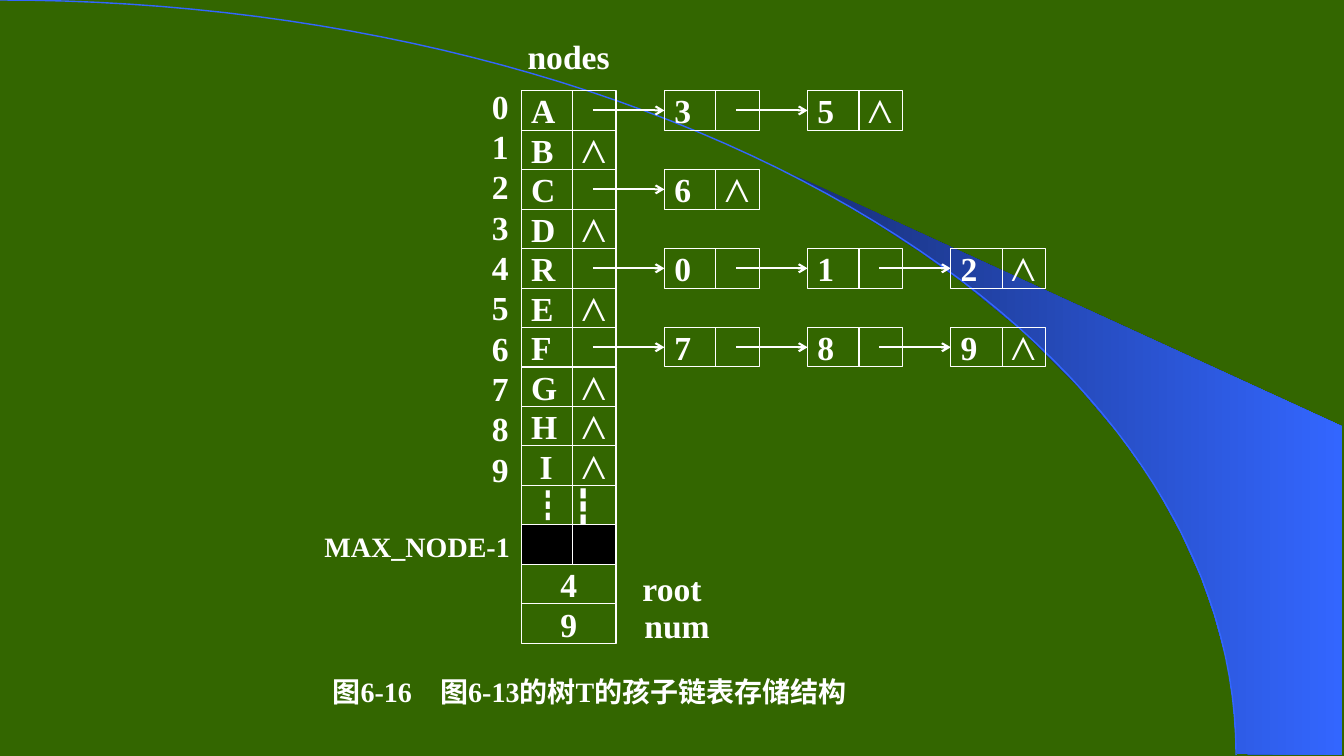
from dataclasses import dataclass
from math import cos, pi, sin

from lxml.etree import SubElement
from pptx import Presentation
from pptx.dml.color import RGBColor
from pptx.enum.shapes import MSO_CONNECTOR, MSO_SHAPE
from pptx.enum.text import MSO_ANCHOR, PP_ALIGN
from pptx.oxml.ns import qn
from pptx.util import Inches, Pt


@dataclass(frozen=True)
class Theme:
    background: RGBColor = RGBColor(0x33, 0x66, 0x00)
    ink: RGBColor = RGBColor(0xFF, 0xFF, 0xFF)
    unused: RGBColor = RGBColor(0x00, 0x00, 0x00)
    swoosh_dark: RGBColor = RGBColor(0x18, 0x2F, 0x76)
    swoosh: RGBColor = RGBColor(0x33, 0x66, 0xFF)
    font: str = "Times New Roman"
    cjk_font: str = "Noto Sans CJK SC"
    body: Pt = Pt(24)
    small: Pt = Pt(20)
    index_spacing: Pt = Pt(28.8)
    thin: Pt = Pt(0.75)
    curve: Pt = Pt(1)
    arrow: Pt = Pt(1.5)


THEME = Theme()

NULL = "⋀"
ARRAY_LEFT, ARRAY_TOP = 5.17, 0.9
ROW_HEIGHT = (5.99 - ARRAY_TOP) / 13
CELL_WIDTH, DIVIDER = 0.94, 0.51
CHAIN_STEP, LINK_START = 1.42, 0.71
INSET, NULL_TAB = 0.1, 0.5

NODE_NAMES = ["A", "B", "C", "D", "R", "E", "F", "G", "H", " I"]
CHILDREN = {0: "35", 2: "6", 4: "012", 6: "789"}
ELLIPSIS_ROW, UNUSED_ROW, ROOT_ROW, NUM_ROW = 10, 11, 12, 13

CURVE_WIDTH, CURVE_HEIGHT, CURVE_STEPS = 12.26, 7.49, 60
SWOOSH = [
    (12.27, 7.48), (13.31, 7.49), (13.31, 4.23), (7.86, 1.73), (8.32, 1.99),
    (8.7, 2.22), (9.13, 2.5), (9.55, 2.8), (10.16, 3.3), (10.7, 3.84),
    (11.1, 4.31), (11.44, 4.79), (11.71, 5.28), (11.91, 5.72), (12.04, 6.09),
    (12.17, 6.56), (12.23, 6.96),
]


def row_top(row):
    return ARRAY_TOP + row * ROW_HEIGHT


def add_outline(slide, points, close):
    corners = [(Inches(x), Inches(y)) for x, y in points]
    builder = slide.shapes.build_freeform(*corners[0])
    builder.add_line_segments(corners[1:], close=close)
    outline = builder.convert_to_shape()
    outline.shadow.inherit = False
    return outline


def add_backdrop(slide):
    slide.background.fill.solid()
    slide.background.fill.fore_color.rgb = THEME.background

    swoosh = add_outline(slide, SWOOSH, close=True)
    swoosh.line.fill.background()
    swoosh.fill.gradient()
    swoosh.fill.gradient_angle = 0
    for stop, color in zip(swoosh.fill.gradient_stops, (THEME.swoosh_dark, THEME.swoosh)):
        stop.color.rgb = color

    angles = [pi / 2 * step / CURVE_STEPS for step in range(CURVE_STEPS + 1)]
    arc = [(CURVE_WIDTH * sin(a), CURVE_HEIGHT * (1 - cos(a))) for a in angles]
    curve = add_outline(slide, arc, close=False)
    curve.fill.background()
    curve.line.color.rgb = THEME.swoosh
    curve.line.width = THEME.curve


def set_frame(frame, align):
    frame.word_wrap = True
    frame.vertical_anchor = MSO_ANCHOR.MIDDLE
    frame.margin_left = Inches(INSET if align == PP_ALIGN.LEFT else 0)
    frame.margin_right = frame.margin_top = frame.margin_bottom = 0


def format_paragraph(paragraph, align, size):
    paragraph.alignment = align
    font = paragraph.font
    font.name, font.size, font.bold = THEME.font, size, True
    font.color.rgb = THEME.ink


def add_label(slide, text, left, top, width, height=0.39,
              align=PP_ALIGN.LEFT, size=THEME.body, spacing=None):
    box = slide.shapes.add_textbox(Inches(left), Inches(top), Inches(width), Inches(height))
    set_frame(box.text_frame, align)
    box.text_frame.text = text
    for paragraph in box.text_frame.paragraphs:
        format_paragraph(paragraph, align, size)
        if spacing:
            paragraph.line_spacing = spacing


def add_line(slide, start, end, width):
    line = slide.shapes.add_connector(
        MSO_CONNECTOR.STRAIGHT, *(Inches(value) for value in (*start, *end)))
    line.line.color.rgb = THEME.ink
    line.line.width = width
    SubElement(line._element.spPr, qn("a:effectLst"))
    return line


def add_link(slide, left, row):
    """Draw the arrow from the pointer half of a cell to the next cell."""
    middle = row_top(row) + ROW_HEIGHT / 2
    link = add_line(slide, (left + LINK_START, middle), (left + CHAIN_STEP, middle), THEME.arrow)
    SubElement(link.line._get_or_add_ln(), qn("a:tailEnd"), type="arrow")


def add_cell(slide, left, row, text="", align=PP_ALIGN.LEFT, is_null=False, divided=True):
    """Draw one record and return its paragraph."""
    top = row_top(row)
    cell = slide.shapes.add_shape(
        MSO_SHAPE.RECTANGLE, Inches(left), Inches(top), Inches(CELL_WIDTH), Inches(ROW_HEIGHT))
    cell.shadow.inherit = False
    cell.fill.background()
    cell.line.color.rgb = THEME.ink
    cell.line.width = THEME.thin
    set_frame(cell.text_frame, align)
    paragraph = cell.text_frame.paragraphs[0]
    if is_null:
        tabs = SubElement(paragraph._p.get_or_add_pPr(), qn("a:tabLst"))
        SubElement(tabs, qn("a:tab"), pos=str(Inches(NULL_TAB)), algn="l")
    format_paragraph(paragraph, align, THEME.body)
    if text:
        paragraph.add_run().text = text
    if is_null:
        null = paragraph.add_run()
        null.text = "\t" + NULL
        null.font.bold = False
    if divided:
        x = left + DIVIDER
        add_line(slide, (x, top), (x, top + ROW_HEIGHT), THEME.thin)
    else:
        return cell, paragraph
    return cell, paragraph


def add_chain(slide, row, children):
    for position, child in enumerate(children):
        left = ARRAY_LEFT + position * CHAIN_STEP
        add_link(slide, left, row)
        is_last = position == len(children) - 1
        add_cell(slide, left + CHAIN_STEP, row, child, is_null=is_last)


def add_node_array(slide):
    for row, name in enumerate(NODE_NAMES):
        add_cell(slide, ARRAY_LEFT, row, name, is_null=row not in CHILDREN)

    _, ellipsis = add_cell(slide, ARRAY_LEFT, ELLIPSIS_ROW)
    for dots, font in (("┇", THEME.cjk_font), (" ┇", THEME.font)):
        run = ellipsis.add_run()
        run.text = dots
        run.font.name = font
        SubElement(run._r.get_or_add_rPr(), qn("a:ea"), typeface=font)

    unused, _ = add_cell(slide, ARRAY_LEFT, UNUSED_ROW)
    unused.fill.solid()
    unused.fill.fore_color.rgb = THEME.unused

    for row, value in ((ROOT_ROW, "4"), (NUM_ROW, "9")):
        add_cell(slide, ARRAY_LEFT, row, value, PP_ALIGN.CENTER, divided=False)


def main():
    presentation = Presentation()
    presentation.slide_width, presentation.slide_height = Inches(13.33), Inches(7.5)
    slide = presentation.slides.add_slide(presentation.slide_layouts[6])

    add_backdrop(slide)
    add_label(slide, "nodes", ARRAY_LEFT, 0.36, CELL_WIDTH, align=PP_ALIGN.CENTER)
    indexes = "\n".join(str(index) for index in range(len(NODE_NAMES)))
    add_label(slide, indexes, 4.78, 0.85, 0.39, 4, spacing=THEME.index_spacing)
    add_label(slide, "MAX_NODE-1", 3.12, 5.22, 1.97, size=THEME.small)
    add_node_array(slide)
    for row, children in CHILDREN.items():
        add_chain(slide, row, children)
    add_label(slide, "root", 6.27, 5.64, 0.79, align=PP_ALIGN.CENTER)
    add_label(slide, "num", 6.32, 6.01, 0.79, align=PP_ALIGN.CENTER)
    add_label(slide, "图6-16　图6-13的树T的孩子链表存储结构", 3.2, 6.66, 5.8, size=THEME.small)
    presentation.save("out.pptx")


if __name__ == "__main__":
    main()
